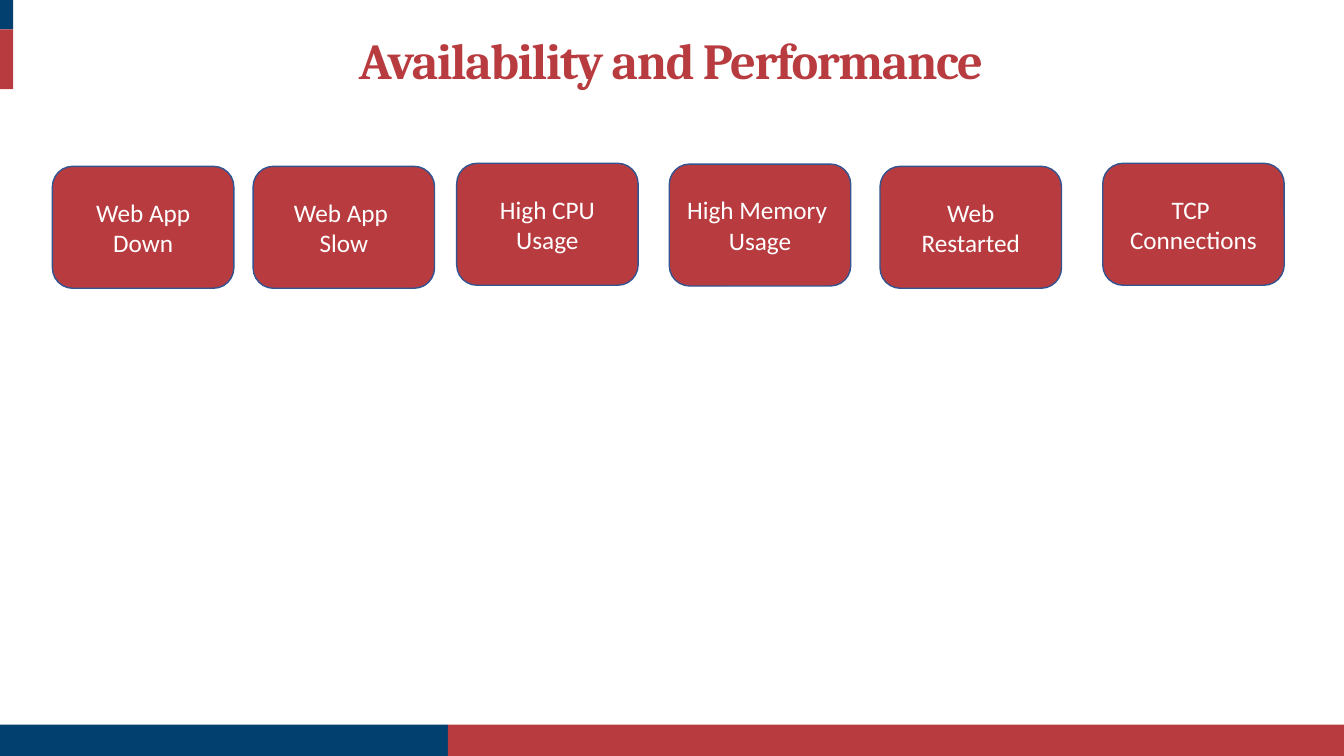
from pptx import Presentation
from pptx.dml.color import RGBColor
from pptx.enum.shapes import MSO_SHAPE
from pptx.enum.text import MSO_ANCHOR, PP_ALIGN
from pptx.util import Inches, Pt


def color(value):
    return RGBColor.from_string(value)


class Deck:
    NAVY, RED, EDGE, WHITE = "01406F", "B83C3F", "325491", "FFFFFF"
    HEAD_FONT, BODY_FONT = "Cambria", "Calibri"

    def __init__(self, prs):
        self.prs = prs
        self.s = prs.slides.add_slide(prs.slide_layouts[6])

    def box(self, x, y, w, h):
        width, height = self.prs.slide_width, self.prs.slide_height
        return [round(size * share / 100) for size, share in
                ((width, x), (height, y), (width, w), (height, h))]

    def shape(self, kind, fill, *area):
        sp = self.s.shapes.add_shape(kind, *self.box(*area))
        sp.shadow.inherit = False
        sp.fill.solid()
        sp.fill.fore_color.rgb = color(fill)
        return sp

    def bar(self, fill, *area):
        self.shape(MSO_SHAPE.RECTANGLE, fill, *area).line.fill.background()

    def paragraph(self, p, text, font, size, fill, bold=False):
        r = p.add_run()
        r.text = text
        p.alignment = PP_ALIGN.CENTER
        p.font.name, p.font.size, p.font.bold = font, Pt(size), bold
        p.font.color.rgb = color(fill)
        return r

    def title(self, text, *area):
        tf = self.s.shapes.add_textbox(*self.box(*area)).text_frame
        tf.word_wrap = True
        tf.margin_left = tf.margin_right = Inches(0.16)
        tf.margin_top = tf.margin_bottom = Inches(0.1)
        p = tf.paragraphs[0]
        p.line_spacing = Pt(61.8)
        r = self.paragraph(p, text, self.HEAD_FONT, 36, self.RED, True)
        r._r.get_or_add_rPr().set("spc", "-100")

    def card(self, lines, *area):
        sp = self.shape(MSO_SHAPE.ROUNDED_RECTANGLE, self.RED, *area)
        sp.line.color.rgb = color(self.EDGE)
        sp.line.width = Pt(1)
        tf = sp.text_frame
        tf.word_wrap = True
        tf.vertical_anchor = MSO_ANCHOR.MIDDLE
        for i, line in enumerate(lines):
            p = tf.add_paragraph() if i else tf.paragraphs[0]
            self.paragraph(p, line, self.BODY_FONT, 18, self.WHITE)


def main():
    prs = Presentation()
    prs.slide_width, prs.slide_height = Inches(13.33), Inches(7.5)
    deck = Deck(prs)

    deck.bar(deck.NAVY, 0, 95.87, 33.33, 4.2)
    deck.bar(deck.RED, 33.33, 95.87, 66.67, 4.2)
    deck.title("Availability and Performance", 17.85, -0.93, 64.14, 10.53)
    deck.bar(deck.NAVY, 0, 0, 0.98, 3.9)
    deck.bar(deck.RED, 0, 3.9, 0.98, 7.9)

    cards = [
        (3.9, 22, ["Web App", "Down"]),
        (18.83, 22, ["Web App ", "Slow"]),
        (33.98, 21.6, ["High CPU", "Usage"]),
        (49.8, 21.7, ["High Memory ", "Usage"]),
        (65.48, 22, ["Web Restarted"]),
        (82.05, 21.6, ["TCP ", "Connections"]),
    ]
    for x, y, lines in cards:
        deck.card(lines, x, y, 13.5, 16.13)

    prs.save("out.pptx")


if __name__ == "__main__":
    main()
